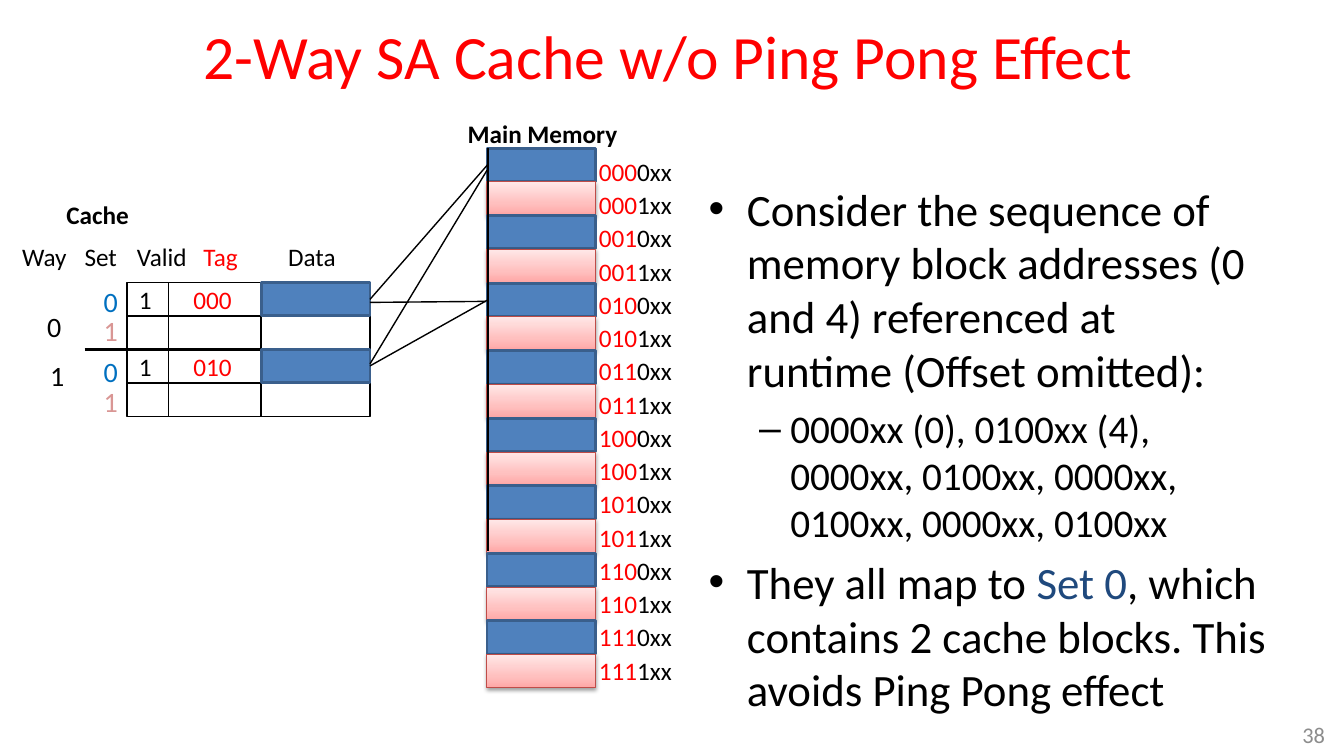
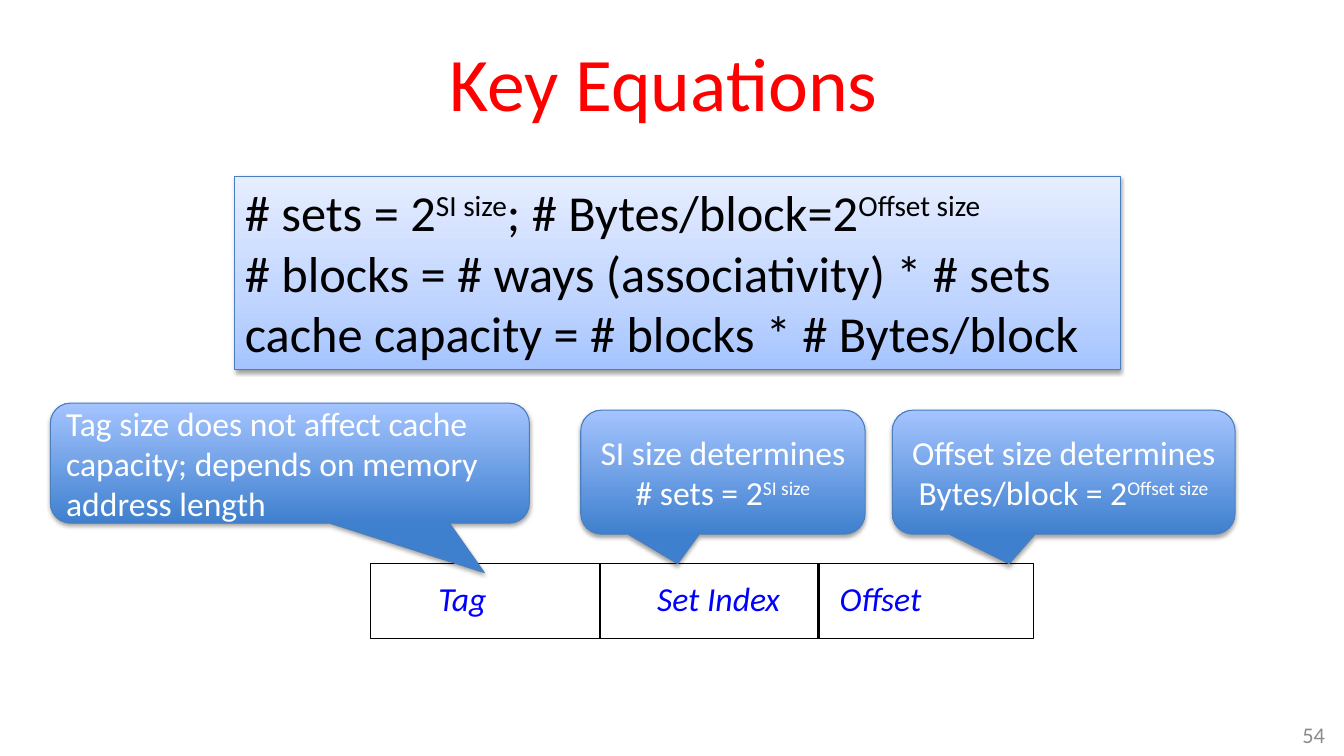
"""Build two slides on set-associative caches and their key equations."""
from dataclasses import dataclass

import pptx
import pptx.dml.color
import pptx.enum.shapes
import pptx.enum.text
import pptx.oxml.ns
import pptx.util
from lxml import etree

Inches = pptx.util.Inches
Pt = pptx.util.Pt
qn = pptx.oxml.ns.qn
Shape = pptx.enum.shapes.MSO_SHAPE
Align = pptx.enum.text.PP_ALIGN
Anchor = pptx.enum.text.MSO_ANCHOR
AutoSize = pptx.enum.text.MSO_AUTO_SIZE


@dataclass(frozen=True)
class Theme:
    """Hold the font, colours, gradients and type sizes."""
    font: str = "Calibri"
    red: str = "FF0000"
    black: str = "000000"
    white: str = "FFFFFF"
    navy: str = "1F497D"
    set_blue: str = "0070C0"
    set_pink: str = "D99694"
    field_blue: str = "0000FF"
    grey: str = "8C8C8C"
    block: str = "4F81BD"
    block_line: str = "3A5F8C"
    pink_line: str = "BF4C48"
    panel_line: str = "4B7EBC"
    pink_stops: tuple = ((0, "FFA6A5"), (35, "FFC0BF"), (100, "FFE7E7"))
    panel_stops: tuple = ((0, "A4C4FF"), (35, "BFD4FF"), (100, "E6EEFF"))
    callout_stops: tuple = ((0, "3F80CE"), (100, "A4C4FF"))
    title: int = 44
    big_title: int = 54
    equation: int = 36
    body: int = 32
    detail: int = 28
    callout: int = 24
    digit: int = 20
    label: int = 18
    number: int = 16


THEME = Theme()
SUPERSCRIPT = {"baseline": 30}

BULLETS = [
    (0, ["Consider the sequence of memory block addresses (0 and 4) referenced at runtime (Offset omitted):"]),
    (1, ["0000xx (0), 0100xx (4), 0000xx, 0100xx, 0000xx, 0100xx, 0000xx, 0100xx"]),
    (0, ["They all map to ", ("Set 0", {"color": THEME.navy}),
         ", which contains 2 cache blocks. This avoids Ping Pong effect"]),
]
BULLET_LEVELS = [("•", 0.38, -0.38, THEME.body), ("–", 0.81, -0.31, THEME.detail)]
BOLD = {"bold": True}
RED = {"color": THEME.red}
DIGIT = {"size": THEME.digit}
SET_ZERO = {"size": THEME.digit, "color": THEME.set_blue}
SET_ONE = {"size": THEME.digit, "color": THEME.set_pink}
CACHE_LABELS = [
    ("Cache", 0.56, 1.93, 0.83, BOLD),
    ("Main Memory", 4.54, 1.12, 1.7, BOLD),
    ("Way", 0.12, 2.34, 0.65, {}),
    ("Set", 0.74, 2.34, 0.53, {}),
    ("Valid", 1.26, 2.34, 0.7, {}),
    ("Tag", 1.92, 2.34, 0.54, RED),
    ("Data", 2.76, 2.34, 0.68, {}),
    ("0", 0.37, 3.02, 0.34, DIGIT),
    ("1", 0.4, 3.51, 0.34, DIGIT),
    ("0", 0.93, 2.77, 0.34, SET_ZERO),
    ("1", 0.93, 3.06, 0.34, SET_ONE),
    ("0", 0.93, 3.47, 0.34, SET_ZERO),
    ("1", 0.93, 3.77, 0.34, SET_ONE),
]
CACHE_COLUMNS = [(1.26, 0.41), (1.67, 0.92), (2.59, 1.08)]
CACHE_TOP = 2.8
CACHE_ROW = 1 / 3
CACHE_RIGHT = 3.67
CACHED_BLOCKS = [(0, "000"), (2, "010")]
LINKS = [
    ((4.84, 1.63), (CACHE_RIGHT, 2.97)),
    ((4.83, 1.69), (CACHE_RIGHT, 3.61)),
    ((4.83, 2.98), (CACHE_RIGHT, 3.63)),
    ((4.82, 2.99), (CACHE_RIGHT, 3)),
]
MEMORY_LEFT, MEMORY_TOP, MEMORY_PITCH = 4.83, 1.47, 0.335
MEMORY_BLOCKS = 16
BLOCK_SIZE = (1.08, 0.33)

EQUATIONS = [
    ["# sets = 2", ("SI size", SUPERSCRIPT), "; # Bytes/block=2", ("Offset size", SUPERSCRIPT)],
    ["# blocks = # ways (associativity) * # sets"],
    ["cache capacity = # blocks * # Bytes/block"],
]
CALLOUTS = [
    (["SI size determines # sets = 2", ("SI size", SUPERSCRIPT)],
     (5.76, 4.07, 2.82, 1.23), (-0.159, 0.738, 0.167), Align.CENTER),
    (["Offset size determines Bytes/block = 2", ("Offset size", SUPERSCRIPT)],
     (8.85, 4.07, 3.4, 1.23), (-0.159, 0.738, 0.167), Align.CENTER),
    (["Tag size does not affect cache capacity; depends on memory address length"],
     (0.5, 4, 4.75, 1.19), (0.406, 0.912, 0.167), Align.LEFT),
]
ADDRESS_FIELDS = [("Tag", 4.25, 0.69), ("Set Index", 6.42, 1.43), ("Offset", 8.23, 1.03)]
ADDRESS_BOX = (3.67, 5.59, 6.58, 0.74)
FIELD_BORDERS = [5.95, 8.12]


def rgb(color):
    """Return a colour object for a hex string."""
    return pptx.dml.color.RGBColor.from_string(color)


def write(shape, paragraphs, size=THEME.label, color=THEME.black, bold=False, italic=False,
          align=Align.LEFT, anchor=Anchor.TOP, spacing=None, wrap=True, auto_size=AutoSize.NONE):
    """Fill a shape with paragraphs, each a list of runs or (run, changes) pairs."""
    frame = shape.text_frame
    frame.word_wrap = wrap
    frame.auto_size = auto_size
    frame.vertical_anchor = anchor
    for index, runs in enumerate(paragraphs):
        paragraph = frame.add_paragraph() if index else frame.paragraphs[0]
        paragraph.alignment = align
        paragraph.line_spacing = spacing
        for item in runs:
            text, changes = (item, {}) if isinstance(item, str) else item
            run = paragraph.add_run()
            run.text = text
            run.font.name = THEME.font
            run.font.size = Pt(size)
            run.font.bold = bold
            run.font.italic = italic
            run.font.color.rgb = rgb(changes.get("color", color))
            if "baseline" in changes:
                run.font._element.set("baseline", str(changes["baseline"] * 1000))
    return frame


def add_text(slide, box, paragraphs, **style):
    """Add a text box."""
    shape = slide.shapes.add_textbox(*map(Inches, box))
    return write(shape, paragraphs, **style)


def add_label(slide, text, left, top, width, height=0.4, **style):
    """Add a one-line label that does not wrap."""
    add_text(slide, (left, top, width, height), [[text]], wrap=False,
             auto_size=AutoSize.SHAPE_TO_FIT_TEXT, **style)


def add_box(slide, box, line, width, fill=None, stops=None, kind=Shape.RECTANGLE, shadow=None):
    """Add an outlined shape with a plain, graded or empty fill."""
    shape = slide.shapes.add_shape(kind, *map(Inches, box))
    shape.shadow.inherit = False
    shape.line.color.rgb = rgb(line)
    shape.line.width = Pt(width)
    if stops:
        shape.fill.gradient()
        shape.fill.gradient_angle = 90
        stop_list = shape._element.spPr.find(".//" + qn("a:gsLst"))
        for stop in list(stop_list):
            stop_list.remove(stop)
        for position, color in stops:
            stop = etree.SubElement(stop_list, qn("a:gs"), pos=str(position * 1000))
            etree.SubElement(stop, qn("a:srgbClr"), val=color)
    elif fill:
        shape.fill.solid()
        shape.fill.fore_color.rgb = rgb(fill)
    else:
        shape.fill.background()
    if shadow:
        opacity, distance = shadow
        effects = shape._element.spPr.find(qn("a:effectLst"))
        outer = etree.SubElement(effects, qn("a:outerShdw"), blurRad=str(Pt(3.1)),
                                 dist=str(Pt(distance)), dir="5400000", rotWithShape="0")
        color = etree.SubElement(outer, qn("a:srgbClr"), val=THEME.black)
        etree.SubElement(color, qn("a:alpha"), val=str(opacity * 1000))
    return shape


def add_line(slide, start, end, width=1):
    """Add a straight black line."""
    connector = slide.shapes.add_connector(
        pptx.enum.shapes.MSO_CONNECTOR.STRAIGHT, *map(Inches, (*start, *end)))
    connector.line.color.rgb = rgb(THEME.black)
    connector.line.width = Pt(width)
    etree.SubElement(connector._element.spPr, qn("a:effectLst"))


def add_slide(presentation, title, box, number, **style):
    """Add a slide with its title and number."""
    slide = presentation.slides.add_slide(presentation.slide_layouts[5])
    shape = slide.shapes.title
    shape.left, shape.top, shape.width, shape.height = map(Inches, box)
    write(shape, [[title]], color=THEME.red, align=Align.CENTER, anchor=Anchor.MIDDLE, **style)
    add_text(slide, (12.57, 7.08, 0.67, 0.42), [[number]], size=THEME.number,
             color=THEME.grey, align=Align.RIGHT, anchor=Anchor.MIDDLE)
    return slide


def add_bullets(slide):
    """Add the two-level bullet list."""
    frame = add_text(slide, (6.93, 1.75, 5.74, 4.95), [runs for _, runs in BULLETS])
    for index, (level, _) in enumerate(BULLETS):
        mark, margin, indent, size = BULLET_LEVELS[level]
        paragraph = frame.paragraphs[index]
        paragraph.level = level
        properties = paragraph._element.get_or_add_pPr()
        properties.set("marL", str(Inches(margin)))
        properties.set("indent", str(Inches(indent)))
        etree.SubElement(properties, qn("a:buFont"), typeface="Arial")
        etree.SubElement(properties, qn("a:buChar"), char=mark)
        if index:
            paragraph.space_before = Pt(size * 0.2)
        for run in paragraph.runs:
            run.font.size = Pt(size)


def add_memory(slide):
    """Add the memory blocks with their addresses."""
    for index in range(MEMORY_BLOCKS):
        box = (MEMORY_LEFT, MEMORY_TOP + index * MEMORY_PITCH, *BLOCK_SIZE)
        if index % 2:
            add_box(slide, box, THEME.pink_line, 0.75, stops=THEME.pink_stops, shadow=(38, 1.6))
        else:
            add_box(slide, box, THEME.block_line, 2, fill=THEME.block)
    add_line(slide, (4.84, MEMORY_TOP), (4.84, 5.47))
    addresses = [format(index, "04b") for index in range(MEMORY_BLOCKS)]
    add_text(slide, (5.84, MEMORY_TOP, 1.08, 5.43),
             [[(bits[:3], RED), bits[3] + "xx"] for bits in addresses], spacing=1.1)


def add_cache(slide):
    """Add the cache grid, its cached blocks and their links to memory."""
    for left, width in CACHE_COLUMNS:
        add_box(slide, (left, CACHE_TOP, width, 4 * CACHE_ROW), THEME.black, 1)
    left = CACHE_COLUMNS[0][0]
    for row in (1, 3):
        top = CACHE_TOP + row * CACHE_ROW
        add_line(slide, (left, top), (CACHE_RIGHT, top))
    middle = CACHE_TOP + 2 * CACHE_ROW
    add_line(slide, (0.84, middle), (CACHE_RIGHT, middle), 2.25)
    for text, left, top, width, style in CACHE_LABELS:
        height = 0.44 if "size" in style else 0.4
        add_label(slide, text, left, top, width, height, **style)
    for row, tag in CACHED_BLOCKS:
        top = CACHE_TOP + row * CACHE_ROW
        add_box(slide, (2.59, top, *BLOCK_SIZE), THEME.block_line, 2, fill=THEME.block)
        add_label(slide, "1", 1.28, top - 0.03, 0.33, anchor=Anchor.MIDDLE)
        add_label(slide, tag, 1.82, top - 0.03, 0.59, color=THEME.red, anchor=Anchor.MIDDLE)
    for start, end in LINKS:
        add_line(slide, start, end)


def add_equations(slide):
    """Add the equations, the address fields and their callouts."""
    left, top, width, height = ADDRESS_BOX
    add_box(slide, ADDRESS_BOX, THEME.black, 0.75)
    for border in FIELD_BORDERS:
        add_line(slide, (border, top), (border, top + height), 2)
    for text, left, width in ADDRESS_FIELDS:
        add_label(slide, text, left, 5.68, width, 0.5, size=THEME.callout,
                  color=THEME.field_blue, italic=True)
    panel = add_box(slide, (2.33, 1.75, 8.78, 1.92), THEME.panel_line, 0.75,
                    stops=THEME.panel_stops, shadow=(38, 1.6))
    write(panel, EQUATIONS, size=THEME.equation, auto_size=AutoSize.SHAPE_TO_FIT_TEXT)
    for runs, box, adjustments, align in CALLOUTS:
        callout = add_box(slide, box, THEME.panel_line, 0.75, stops=THEME.callout_stops,
                          kind=Shape.ROUNDED_RECTANGULAR_CALLOUT, shadow=(35, 1.8))
        for index, value in enumerate(adjustments):
            callout.adjustments[index] = value
        write(callout, [runs], size=THEME.callout, color=THEME.white, align=align,
              anchor=Anchor.MIDDLE)


def main():
    """Build and save the presentation."""
    presentation = pptx.Presentation()
    presentation.slide_width = Inches(13.33)
    presentation.slide_height = Inches(7.5)
    slide = add_slide(presentation, "2-Way SA Cache w/o Ping Pong Effect",
                      (1.45, 0.09, 10.36, 1.03), "38", size=THEME.title, spacing=0.85)
    add_bullets(slide)
    add_memory(slide)
    add_cache(slide)
    slide = add_slide(presentation, "Key Equations", (2.08, 0.54, 9, 0.53), "54",
                      size=THEME.big_title)
    add_equations(slide)
    presentation.save("out.pptx")


if __name__ == "__main__":
    main()
